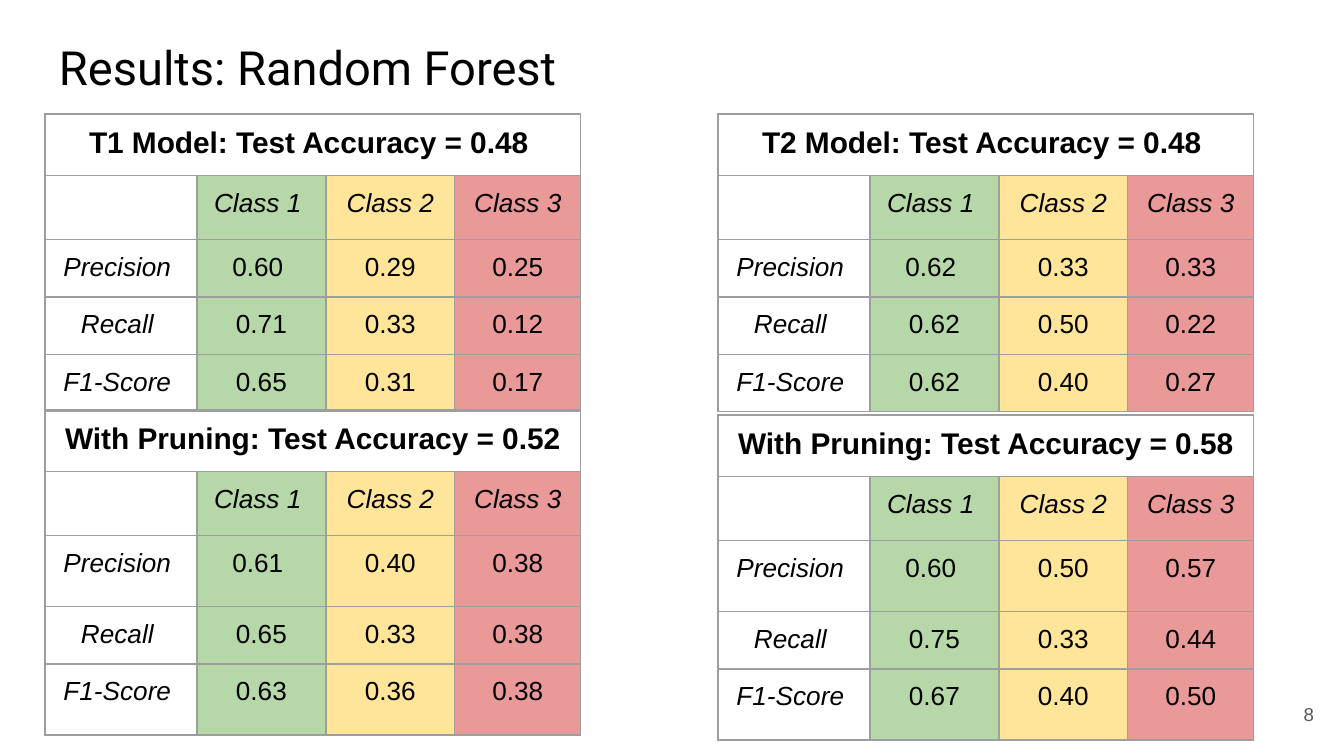
from dataclasses import dataclass

from lxml import etree
from pptx import Presentation
from pptx.dml.color import RGBColor
from pptx.enum.text import MSO_ANCHOR, PP_ALIGN
from pptx.oxml.ns import qn
from pptx.util import Pt

EMU_PER_PX = 914400 / 134.4
SLIDE_WIDTH, SLIDE_HEIGHT = 1344, 756
INSET = 13

BLACK = RGBColor(0x00, 0x00, 0x00)
GRAY = RGBColor(0x59, 0x59, 0x59)
BORDER = RGBColor(0x9E, 0x9E, 0x9E)
GREEN = RGBColor(0xB6, 0xD7, 0xA8)
YELLOW = RGBColor(0xFF, 0xE5, 0x99)
RED = RGBColor(0xEA, 0x99, 0x99)

LEFT, CENTER, RIGHT = PP_ALIGN.LEFT, PP_ALIGN.CENTER, PP_ALIGN.RIGHT
TOP, MIDDLE = MSO_ANCHOR.TOP, MSO_ANCHOR.MIDDLE

LEFT_TABLE_X, RIGHT_TABLE_X = 45, 718
COLUMN_WIDTHS = (152, 129, 129, 126)
COLUMN_FILLS = (None, GREEN, YELLOW, RED)
BASE_ROWS = (60, 64, 56, 56, 56)
PRUNED_ROWS = (60, 64, 71, 56, 71)
CLASS_LABELS = ("", "Class 1 ", "Class 2", "Class 3")
METRICS = ("Precision ", "Recall ", "F1-Score ")


@dataclass(frozen=True)
class TextStyle:
    size: float
    font: str = "Arial"
    color: RGBColor = BLACK
    bold: bool = False
    italic: bool = False
    align: PP_ALIGN = CENTER


@dataclass(frozen=True)
class Label:
    text: str
    x: int
    y: int
    width: int
    height: int
    anchor: MSO_ANCHOR
    style: TextStyle


@dataclass(frozen=True)
class ScoreTable:
    heading: str
    x: int
    y: int
    row_heights: tuple[int, ...]
    scores: tuple[tuple[str, str, str], ...]


HEADING_STYLE = TextStyle(16, bold=True)
LABEL_STYLE = TextStyle(14, italic=True)
SCORE_STYLE = TextStyle(14)

LABELS = (
    Label("Results: Random Forest", 46, 26, 1252, 84, TOP,
          TextStyle(25.2, font="Roboto", align=LEFT)),
    Label("8", 1246, 685, 81, 58, MIDDLE,
          TextStyle(10, color=GRAY, align=RIGHT)),
)

SCORE_TABLES = (
    ScoreTable("T1 Model: Test Accuracy = 0.48 ", LEFT_TABLE_X, 114, BASE_ROWS,
               (("0.60 ", "0.29", "0.25"),
                ("0.71", "0.33", "0.12"),
                ("0.65", "0.31", "0.17"))),
    ScoreTable("With Pruning: Test Accuracy = 0.52", LEFT_TABLE_X, 410, PRUNED_ROWS,
               (("0.61 ", "0.40", "0.38"),
                ("0.65", "0.33", "0.38"),
                ("0.63", "0.36", "0.38"))),
    ScoreTable("T2 Model: Test Accuracy = 0.48 ", RIGHT_TABLE_X, 114, BASE_ROWS,
               (("0.62 ", "0.33", "0.33"),
                ("0.62", "0.50", "0.22"),
                ("0.62", "0.40", "0.27"))),
    ScoreTable("With Pruning: Test Accuracy = 0.58", RIGHT_TABLE_X, 415, PRUNED_ROWS,
               (("0.60 ", "0.50", "0.57"),
                ("0.75", "0.33", "0.44"),
                ("0.67", "0.40", "0.50"))),
)


def px(length: int) -> int:
    return round(length * EMU_PER_PX)


def write(frame, text: str, style: TextStyle) -> None:
    paragraph = frame.paragraphs[0]
    paragraph.text = text
    paragraph.alignment = style.align
    font = paragraph.font
    font.name = style.font
    font.size = Pt(style.size)
    font.bold = style.bold
    font.italic = style.italic
    font.color.rgb = style.color


def set_insets(holder) -> None:
    """Apply the common margin to a text frame or a table cell."""
    holder.margin_left = holder.margin_right = px(INSET)
    holder.margin_top = holder.margin_bottom = px(INSET)


def add_label(slide, label: Label) -> None:
    box = slide.shapes.add_textbox(px(label.x), px(label.y),
                                   px(label.width), px(label.height))
    frame = box.text_frame
    frame.word_wrap = True
    frame.vertical_anchor = label.anchor
    set_insets(frame)
    write(frame, label.text, label.style)


def add_borders(cell) -> None:
    properties = cell._tc.get_or_add_tcPr()
    for side in ("a:lnL", "a:lnR", "a:lnT", "a:lnB"):
        line = etree.SubElement(properties, qn(side), w=str(Pt(0.75)))
        fill = etree.SubElement(line, qn("a:solidFill"))
        etree.SubElement(fill, qn("a:srgbClr"), val=str(BORDER))


def format_cell(cell, text: str, style: TextStyle, fill: RGBColor | None) -> None:
    set_insets(cell)
    add_borders(cell)
    if fill is None:
        cell.fill.background()
    else:
        cell.fill.solid()
        cell.fill.fore_color.rgb = fill
    write(cell.text_frame, text, style)


def add_score_table(slide, content: ScoreTable) -> None:
    rows = [(content.heading, "", "", ""), CLASS_LABELS]
    rows += [(metric, *scores) for metric, scores in zip(METRICS, content.scores)]
    table = slide.shapes.add_table(
        len(rows), len(COLUMN_WIDTHS), px(content.x), px(content.y),
        px(sum(COLUMN_WIDTHS)), px(sum(content.row_heights))).table
    table.first_row = table.horz_banding = False
    for column, width in zip(table.columns, COLUMN_WIDTHS):
        column.width = px(width)
    for row, height in zip(table.rows, content.row_heights):
        row.height = px(height)

    for r, texts in enumerate(rows):
        for c, (text, fill) in enumerate(zip(texts, COLUMN_FILLS)):
            if r == 0:
                style, fill = HEADING_STYLE, None
            elif r == 1 or c == 0:
                style = LABEL_STYLE
            else:
                style = SCORE_STYLE
            format_cell(table.cell(r, c), text, style, fill)
    table.cell(0, 0).merge(table.cell(0, len(COLUMN_WIDTHS) - 1))


def main() -> None:
    presentation = Presentation()
    presentation.slide_width = px(SLIDE_WIDTH)
    presentation.slide_height = px(SLIDE_HEIGHT)
    slide = presentation.slides.add_slide(presentation.slide_layouts[6])
    for label in LABELS:
        add_label(slide, label)
    for score_table in SCORE_TABLES:
        add_score_table(slide, score_table)
    presentation.save("out.pptx")


if __name__ == "__main__":
    main()
